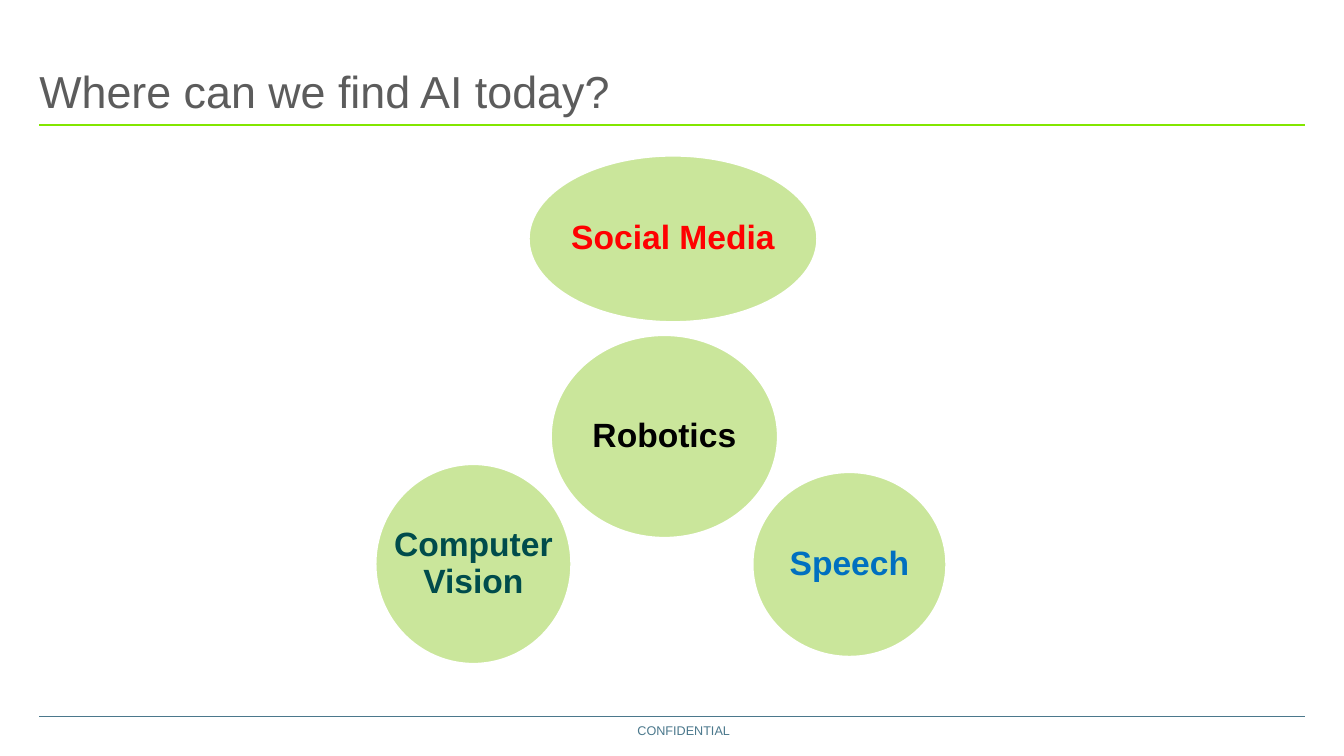
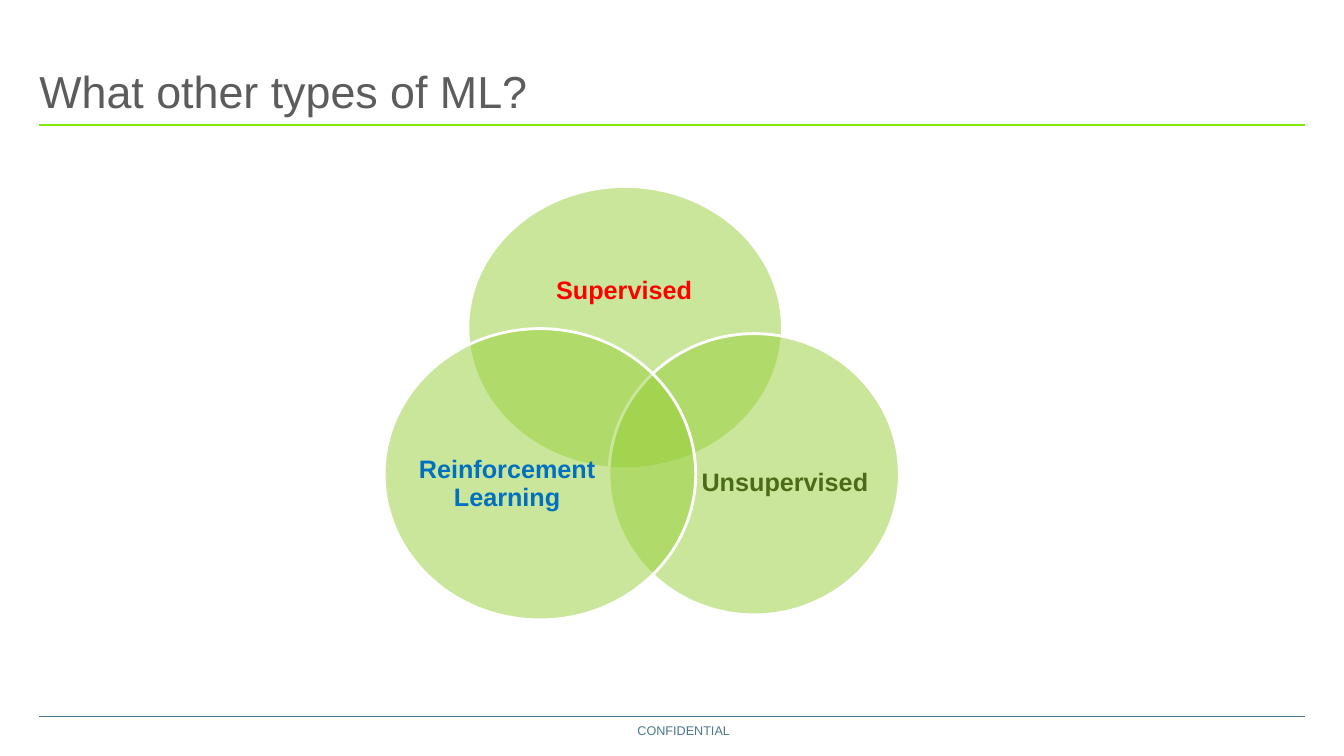
from dataclasses import dataclass

from lxml import etree
from pptx import Presentation
from pptx.dml.color import RGBColor
from pptx.enum.shapes import MSO_CONNECTOR, MSO_SHAPE
from pptx.enum.text import MSO_ANCHOR, MSO_AUTO_SIZE, PP_ALIGN
from pptx.oxml.ns import qn
from pptx.util import Inches, Pt

OVAL = MSO_SHAPE.OVAL
STRAIGHT = MSO_CONNECTOR.STRAIGHT
TOP, MIDDLE, BOTTOM = MSO_ANCHOR.TOP, MSO_ANCHOR.MIDDLE, MSO_ANCHOR.BOTTOM
LEFT, CENTER, RIGHT = PP_ALIGN.LEFT, PP_ALIGN.CENTER, PP_ALIGN.RIGHT
FIXED = MSO_AUTO_SIZE.NONE
TITLE_ONLY = 5


@dataclass(frozen=True)
class Theme:
    font: str = "Arial"
    gray: str = "5C5C5C"
    lime: str = "82E600"
    slate: str = "4B788C"
    leaf: str = "97CF39"
    white: str = "FFFFFF"
    black: str = "000000"
    red: str = "FF0000"
    blue: str = "0070C0"
    teal: str = "004C4C"
    olive: str = "4C6B19"
    title: int = 32
    large: int = 24
    body: int = 18
    small: int = 9
    left: float = 0.39
    right: float = 12.94


THEME = Theme()


def color(code):
    return RGBColor.from_string(code)


def write(shape, text, size, ink, bold=False, align=CENTER, anchor=MIDDLE,
          inset=(0, 0, 0, 0), space=0.9):
    frame = shape.text_frame
    frame.word_wrap = True
    frame.auto_size = FIXED
    frame.vertical_anchor = anchor
    (frame.margin_left, frame.margin_top,
     frame.margin_right, frame.margin_bottom) = map(Inches, inset)
    frame.text = text
    para = frame.paragraphs[0]
    para.alignment = align
    para.line_spacing = space
    font = para.font
    font.name = THEME.font
    font.size = Pt(size)
    font.bold = bold
    font.color.rgb = color(ink)


def add_label(slide, box, text, size, ink, **style):
    label = slide.shapes.add_textbox(*map(Inches, box))
    write(label, text, size, ink, **style)


def add_rule(slide, y, ink, width):
    rule = slide.shapes.add_connector(
        STRAIGHT, Inches(THEME.left), Inches(y), Inches(THEME.right), Inches(y))
    rule.line.color.rgb = color(ink)
    rule.line.width = Pt(width)
    etree.SubElement(rule._element.spPr, qn("a:effectLst"))


def add_oval(slide, box):
    oval = slide.shapes.add_shape(OVAL, *map(Inches, box))
    oval.shadow.inherit = False
    oval.fill.solid()
    oval.fill.fore_color.rgb = color(THEME.leaf)
    tint = oval._element.spPr.find(qn("a:solidFill"))[0]
    etree.SubElement(tint, qn("a:alpha"), val="50000")
    oval.line.color.rgb = color(THEME.white)
    oval.line.width = Pt(2)


def add_page(deck, text):
    slide = deck.slides.add_slide(deck.slide_layouts[TITLE_ONLY])
    title = slide.shapes.title
    title.left, title.top = Inches(THEME.left), Inches(0.5)
    title.width, title.height = Inches(7.16), Inches(0.75)
    write(title, text, THEME.title, THEME.gray, align=LEFT, anchor=BOTTOM,
          inset=(0, 0, 0, 0.08))
    add_rule(slide, 1.24, THEME.lime, 1.5)
    add_rule(slide, 7.11, THEME.slate, 1)
    add_label(slide, (6.31, 7.13, 0.93, 0.19), "CONFIDENTIAL", THEME.small,
              THEME.slate, align=RIGHT, anchor=TOP, inset=(0, 0.04, 0, 0), space=1)
    return slide


def add_fields(deck):
    slide = add_page(deck, "Where can we find AI today?")
    fields = [
        ("Robotics", THEME.black, (5.46, 3.32, 2.26, 2.02)),
        ("Social Media", THEME.red, (5.24, 1.54, 2.87, 1.66)),
        ("Speech", THEME.blue, (7.46, 4.68, 1.93, 1.84)),
        ("Computer Vision", THEME.teal, (3.72, 4.6, 1.95, 1.99)),
    ]
    for text, ink, box in fields:
        add_oval(slide, box)
        add_label(slide, box, text, THEME.large, ink, bold=True, inset=(0.03,) * 4)


def add_types(deck):
    slide = add_page(deck, "What other types of ML?")
    types = [
        ("Supervised", THEME.red,
         (4.64, 1.85, 3.12, 2.8), (5.05, 2.26, 2.28, 1.26)),
        ("Unsupervised", THEME.olive,
         (6.04, 3.31, 2.88, 2.79), (6.92, 4.03, 1.73, 1.54)),
        ("Reinforcement Learning", THEME.blue,
         (3.81, 3.26, 3.09, 2.89), (4.1, 4.01, 1.86, 1.59)),
    ]
    for text, ink, circle, box in types:
        add_oval(slide, circle)
        add_label(slide, box, text, THEME.body, ink, bold=True)


def main():
    deck = Presentation()
    deck.slide_width, deck.slide_height = Inches(13.33), Inches(7.5)
    add_fields(deck)
    add_types(deck)
    deck.save("out.pptx")


if __name__ == "__main__":
    main()
